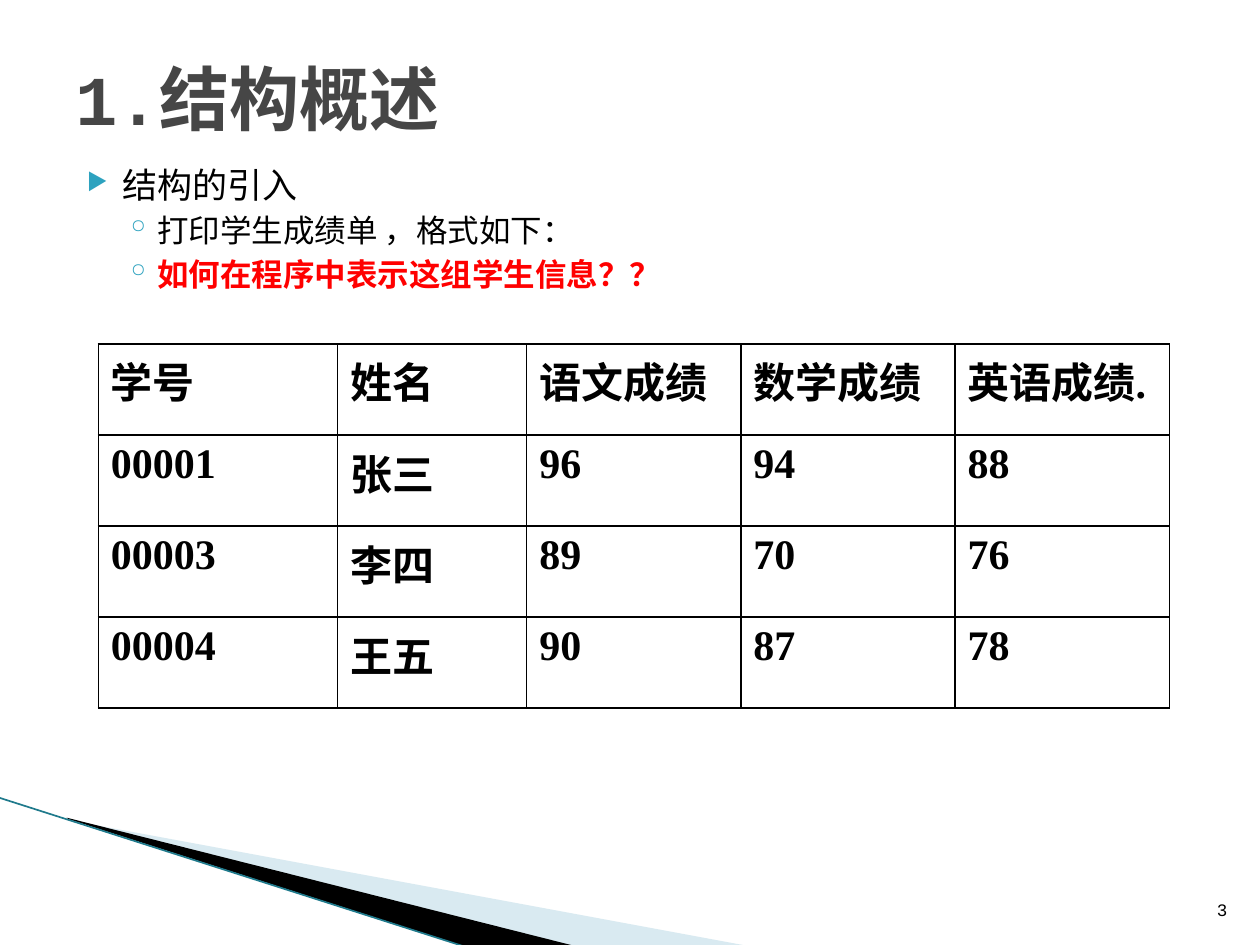
from lxml.etree import SubElement
from pptx import Presentation
from pptx.dml.color import RGBColor
from pptx.enum.shapes import MSO_CONNECTOR
from pptx.enum.text import MSO_ANCHOR, PP_ALIGN
from pptx.oxml import parse_xml
from pptx.oxml.ns import nsdecls, qn
from pptx.util import Inches, Pt

COLORS = {
    "black": "000000",
    "title": "464646",
    "bullet": "2DA2BF",
    "alert": "FF0000",
    "pale": "A0CBDC",
    "edge": "1F7A8C",
}
HEADING_FONT = "Courier New"
TABLE_FONT = "Times New Roman"
OUTLINE = [
    ("结构的引入", 0, "black"),
    ("打印学生成绩单 ，格式如下：", 1, "black"),
    ("如何在程序中表示这组学生信息？？", 1, "alert"),
]
LEVELS = [
    {"mark": "▶", "scale": 68, "margin": 0.4, "indent": -0.28, "size": 20, "before": 4},
    {"mark": "◦", "scale": 100, "margin": 0.68, "indent": -0.25, "size": 18, "before": 3.2},
]
SCORES = [
    ["学号", "姓名", "语文成绩", "数学成绩", "英语成绩."],
    ["00001", "张三", "96", "94", "88"],
    ["00003", "李四", "89", "70", "76"],
    ["00004", "王五", "90", "87", "78"],
]
COLUMN_WIDTHS = [1.9, 1.5, 1.7, 1.7, 1.7]


def rgb(name):
    """Return the named colour."""
    return RGBColor.from_string(COLORS[name])


def style(paragraph, size, color, font=HEADING_FONT, bold=False):
    """Set the font of a whole paragraph."""
    paragraph.font.size = Pt(size)
    paragraph.font.name = font
    paragraph.font.bold = bold
    paragraph.font.color.rgb = rgb(color)


def set_indent(paragraph, margin, indent):
    """Set the hanging indent and return the paragraph properties."""
    properties = paragraph._p.get_or_add_pPr()
    properties.set("marL", str(Inches(margin)))
    properties.set("indent", str(Inches(indent)))
    return properties


def add_frame(slide, left, top, width, height, anchor=MSO_ANCHOR.TOP):
    """Add a wrapping text box and return its text frame."""
    box = slide.shapes.add_textbox(Inches(left), Inches(top), Inches(width), Inches(height))
    frame = box.text_frame
    frame.word_wrap = True
    frame.vertical_anchor = anchor
    return frame


def add_wedge(slide, left, top, corners, color):
    """Draw a filled wedge from corners relative to left and top."""
    points = [(Inches(left + x), Inches(top + y)) for x, y in corners]
    builder = slide.shapes.build_freeform(*points[0])
    builder.add_line_segments(points[1:], close=True)
    wedge = builder.convert_to_shape()
    wedge.shadow.inherit = False
    wedge.fill.solid()
    wedge.fill.fore_color.rgb = rgb(color)
    wedge.line.fill.background()
    return wedge


def add_swoosh(slide, left, top):
    """Draw the corner decoration from its upper left point."""
    pale = add_wedge(slide, left, top, [(0.56, 0.18), (5.96, 1.18), (4.57, 1.18), (0.56, 0.17)], "pale")
    tint = pale._element.spPr.find(qn("a:solidFill"))[0]
    SubElement(tint, qn("a:alpha"), val="40000")
    add_wedge(slide, left, top, [(0.54, 0.16), (4.58, 1.18), (3.73, 1.19), (0.55, 0.17)], "black")
    edge = slide.shapes.add_connector(
        MSO_CONNECTOR.STRAIGHT,
        Inches(left), Inches(top), Inches(left + 3.72), Inches(top + 1.19),
    )
    edge.line.color.rgb = rgb("edge")
    edge.line.width = Pt(0.95)
    SubElement(edge._element.spPr, qn("a:effectLst"))


def add_outline(slide, left, top, width, height):
    """Write the bulleted outline."""
    frame = add_frame(slide, left, top, width, height)
    for index, (text, depth, color) in enumerate(OUTLINE):
        level = LEVELS[depth]
        paragraph = frame.paragraphs[0] if index == 0 else frame.add_paragraph()
        paragraph.text = text
        paragraph.level = depth
        properties = set_indent(paragraph, level["margin"], level["indent"])
        bullet_color = SubElement(properties, qn("a:buClr"))
        SubElement(bullet_color, qn("a:srgbClr"), val=COLORS["bullet"])
        SubElement(properties, qn("a:buSzPct"), val=str(level["scale"] * 1000))
        SubElement(properties, qn("a:buChar"), char=level["mark"])
        paragraph.space_before = Pt(level["before"] if index else 0)
        style(paragraph, level["size"], color, bold=color == "alert")


def add_title(slide, left, top, width, height):
    """Write the slide title."""
    title = add_frame(slide, left, top, width, height, MSO_ANCHOR.MIDDLE).paragraphs[0]
    title.text = "1.结构概述"
    style(title, 40, "title", bold=True)


def add_page_number(slide, left, top, width, height):
    """Write the page number at the lower right."""
    number = add_frame(slide, left, top, width, height, MSO_ANCHOR.BOTTOM).paragraphs[0]
    number.text = "3"
    number.alignment = PP_ALIGN.RIGHT
    style(number, 10, "black")


def add_borders(cell):
    """Rule all four sides of a cell."""
    properties = cell._tc.get_or_add_tcPr()
    for position, side in enumerate(("lnL", "lnR", "lnT", "lnB")):
        border = parse_xml(
            f'<a:{side} {nsdecls("a")} w="{Pt(1)}"><a:solidFill>'
            f'<a:srgbClr val="{COLORS["black"]}"/></a:solidFill></a:{side}>'
        )
        properties.insert(position, border)


def add_scores(slide, left, top, width, height):
    """Build the table of student scores."""
    frame = slide.shapes.add_table(
        len(SCORES), len(COLUMN_WIDTHS),
        Inches(left), Inches(top), Inches(width), Inches(height),
    )
    table = frame.table
    table.first_row = False
    table.horz_banding = False
    for column, share in zip(table.columns, COLUMN_WIDTHS):
        column.width = Inches(width * share / sum(COLUMN_WIDTHS))
    for row, values in zip(table.rows, SCORES):
        for cell, value in zip(row.cells, values):
            cell.fill.background()
            add_borders(cell)
            paragraph = cell.text_frame.paragraphs[0]
            paragraph.text = value
            tabs = SubElement(set_indent(paragraph, 0.52, -0.52), qn("a:tabLst"))
            SubElement(tabs, qn("a:tab"), pos=str(Inches(5.5)), algn="l")
            style(paragraph, 24, "black", TABLE_FONT, bold=True)


def main():
    """Build and save the slide."""
    presentation = Presentation()
    presentation.slide_width = Inches(10)
    presentation.slide_height = Inches(7.5)
    slide = presentation.slides.add_slide(presentation.slide_layouts[6])
    add_swoosh(slide, -0.01, 6.33)
    add_outline(slide, 0.47, 1.25, 9.22, 5.31)
    add_title(slide, 0.5, 0.3, 9, 0.95)
    add_page_number(slide, 7.27, 6.95, 2.57, 0.4)
    add_scores(slide, 0.78, 2.73, 8.5, 2.89)
    presentation.save("out.pptx")


if __name__ == "__main__":
    main()
